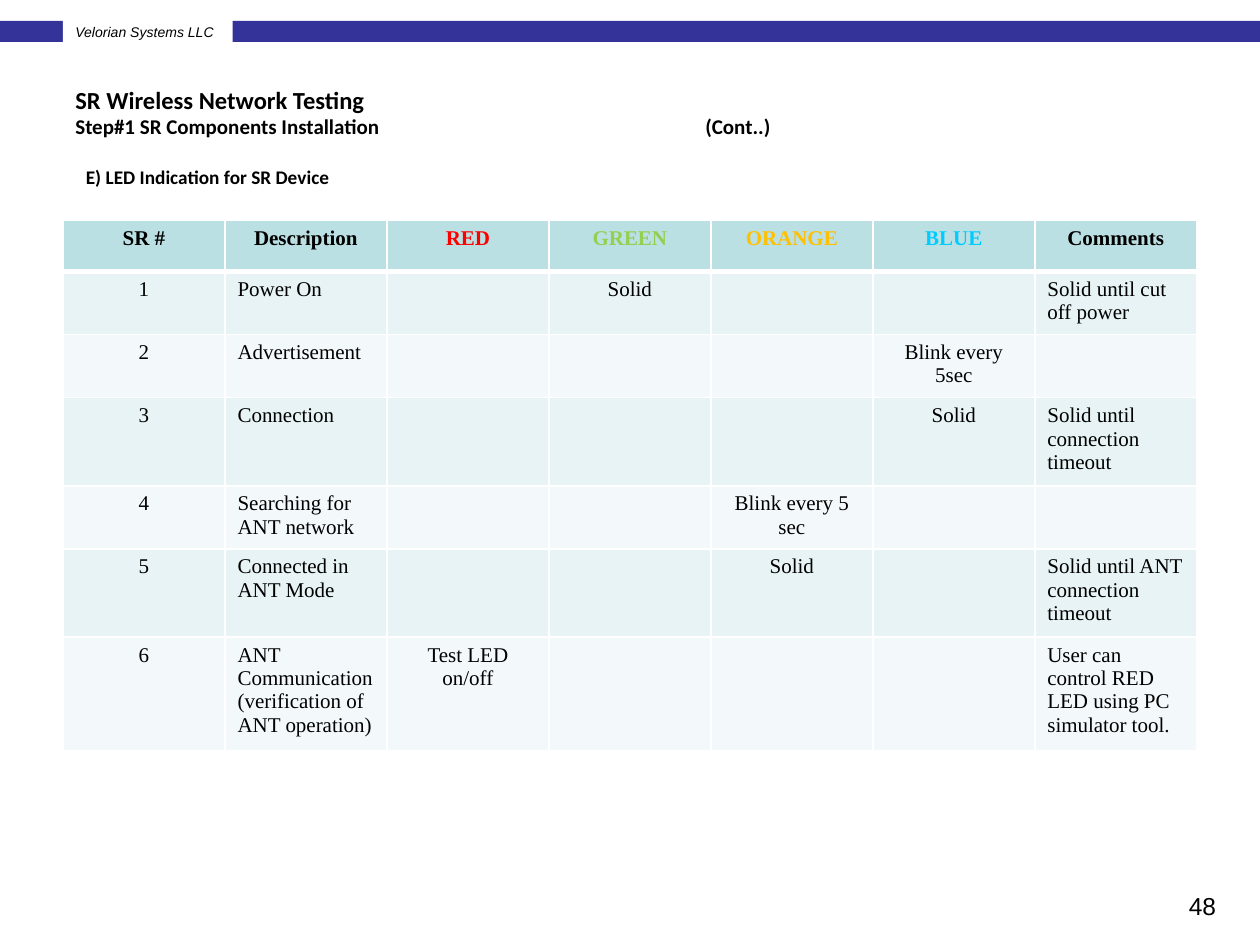
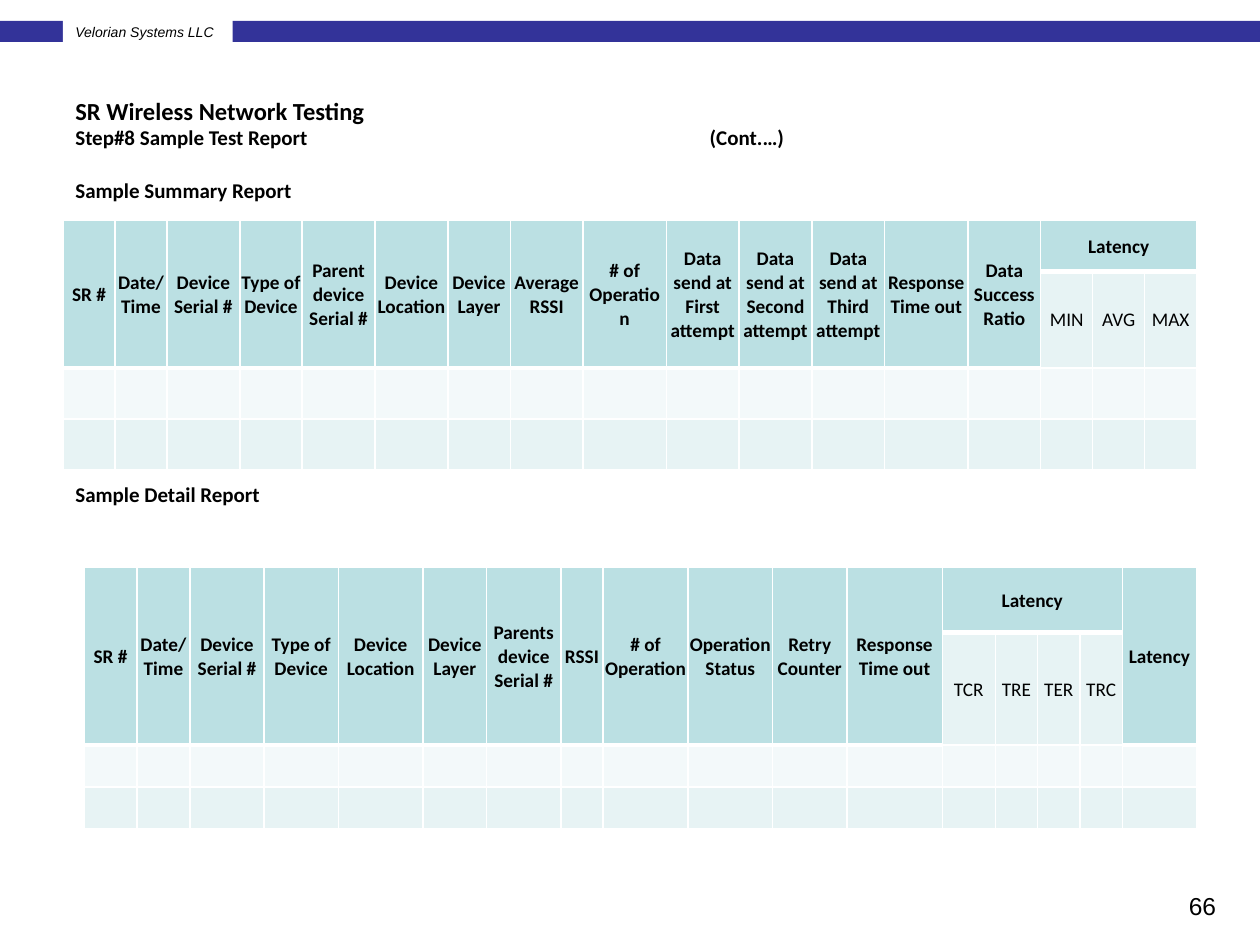
from dataclasses import dataclass

import pptx
import pptx.dml.color
import pptx.enum.shapes
import pptx.enum.text
import pptx.oxml.ns
import pptx.util
from lxml import etree

Pt = pptx.util.Pt
Align = pptx.enum.text.PP_ALIGN
Anchor = pptx.enum.text.MSO_ANCHOR
qn = pptx.oxml.ns.qn

# Content: slide headings and labels
OWNER = "Velorian Systems LLC"
TITLE = "SR Wireless Network Testing"
LED_HEAD = {"step": "Step#1 SR Components Installation", "cont": "(Cont..)", "page": "48"}
TEST_HEAD = {"step": "Step#8 Sample Test Report", "cont": "(Cont.…)", "page": "66"}

# Content: LED table
LED_COLS = [("SR #", None), ("Description", None), ("RED", "FF0000"), ("GREEN", "92D050"),
            ("ORANGE", "FFC000"), ("BLUE", "00CCFF"), ("Comments", None)]
LED_ROWS = [
    ("1", "Power On", "", "Solid", "", "", "Solid until cut off power"),
    ("2", "Advertisement", "", "", "", "Blink every 5sec", ""),
    ("3", "Connection", "", "", "", "Solid", "Solid until connection timeout"),
    ("4", "Searching for ANT network", "", "", "Blink every 5 sec", "", ""),
    ("5", "Connected in ANT Mode", "", "", "Solid", "", "Solid until ANT connection timeout"),
    ("6", "ANT Communication(verification of ANT operation)", "Test LED on/off", "", "", "",
     "User can control RED LED using PC simulator tool."),
]
LED_HIGHS = [29.2, 34, 34, 47, 34, 47, 60.5]
LEFT_COLS = ("Description", "Comments")

# Content: report columns as (label, width share) or (label, list of sub-columns)
BRIEF = [
    ("SR #", 5), ("Date/Time", 5), ("Device Serial #", 7), ("Type of Device", 6),
    ("Parent device Serial #", 7), ("Device Location", 7), ("Device Layer", 6),
    ("Average RSSI", 7), ("# of Operation", 8), ("Data send at First attempt", 7),
    ("Data send at Second attempt", 7), ("Data send at Third attempt", 7),
    ("Response Time out", 8), ("Data Success Ratio", 7),
    ("Latency", [("MIN", 5), ("AVG", 5), ("MAX", 5)]),
]
DETAIL = [
    ("SR #", 5), ("Date/Time", 5), ("Device Serial #", 7), ("Type of Device", 7),
    ("Device Location", 8), ("Device Layer", 6), ("Parents device Serial #", 7),
    ("RSSI", 4), ("# of Operation", 8), ("Operation Status", 8), ("Retry Counter", 7),
    ("Response Time out", 9),
    ("Latency", [("TCR", 5), ("TRE", 4), ("TER", 4), ("TRC", 4)]), ("Latency", 7),
]
# Label, label top, columns, table left, table top, row heights
REPORTS = [
    ("Sample Summary Report", 97.7, BRIEF, 36, 126, [29.2, 55, 29.2, 29.2]),
    ("Sample Detail Report", 271.4, DETAIL, 48, 324.2, [37.2, 64.4, 24, 24]),
]


@dataclass(frozen=True)
class Theme:
    band: str = "333399"
    white: str = "FFFFFF"
    ink: str = "000000"
    head: str = "BBE0E3"
    odd: str = "E7F3F4"
    even: str = "F3F9FA"
    sans: str = "Arial"
    main: str = "Calibri"
    serif: str = "Times New Roman"
    tiny: int = 8
    small: int = 11
    mid: int = 12
    big: int = 14
    left: float = 36
    right: float = 684
    thin: float = 1
    thick: float = 3
    pad: float = 0.72


T = Theme()


def paint(par, size, face, bold=False, slant=False, ink=None, align=Align.LEFT):
    par.alignment = align
    font = par.font
    font.size, font.name, font.bold, font.italic = Pt(size), face, bold, slant
    font.color.rgb = pptx.dml.color.RGBColor.from_string(ink or T.ink)


def fill(item, color):
    item.fill.solid()
    item.fill.fore_color.rgb = pptx.dml.color.RGBColor.from_string(color)


def place(x, y, w, h):
    return [Pt(v) for v in (x, y, w, h)]


def label(slide, box, text, size, face, anchor=Anchor.TOP, **look):
    frame = slide.shapes.add_textbox(*place(*box)).text_frame
    frame.word_wrap = True
    frame.vertical_anchor = anchor
    frame.text = text
    paint(frame.paragraphs[0], size, face, **look)
    return frame


def block(slide, box, color):
    shape = slide.shapes.add_shape(pptx.enum.shapes.MSO_SHAPE.RECTANGLE, *place(*box))
    shape.shadow.inherit = False
    shape.line.fill.background()
    fill(shape, color)
    return shape


def base(deck, head, top, stop):
    """Add a slide with the band, owner tag, heading and page number."""
    slide = deck.slides.add_slide(deck.slide_layouts[6])
    block(slide, (0, 12, 720, 12), T.band)
    tag = block(slide, (T.left, 10, 97, 17), T.white).text_frame
    tag.word_wrap = False
    tag.text = OWNER
    paint(tag.paragraphs[0], T.tiny, T.sans, slant=True)

    # Heading: title, then step with the continued mark on a tab stop
    frame = label(slide, (T.left, top, 648, 39), TITLE, T.big, T.main, bold=True)
    par = frame.add_paragraph()
    par.add_run().text = head["step"] + "\t" + head["cont"]
    tabs = etree.SubElement(par._p.get_or_add_pPr(), qn("a:tabLst"))
    etree.SubElement(tabs, qn("a:tab"), pos=str(Pt(stop)), algn="l")
    paint(par, T.mid, T.main, bold=True)

    label(slide, (534, 505, 168, 25), head["page"], T.big, T.sans,
          anchor=Anchor.MIDDLE, align=Align.RIGHT)
    return slide


def edge(cell, side, width):
    line = etree.SubElement(cell._tc.get_or_add_tcPr(), qn("a:ln" + side), w=str(Pt(width)))
    solid = etree.SubElement(line, qn("a:solidFill"))
    etree.SubElement(solid, qn("a:srgbClr"), val=T.white)


def grid(slide, x, y, wides, highs):
    """Add a bare table with the given column widths and row heights."""
    box = place(x, y, sum(wides), sum(highs))
    table = slide.shapes.add_table(len(highs), len(wides), *box).table
    table.first_row = table.horz_banding = False
    for col, wide in zip(table.columns, wides):
        col.width = Pt(wide)
    for row, high in zip(table.rows, highs):
        row.height = Pt(high)
    return table


def dress(cell, row, head):
    """Give a cell its borders and fill."""
    for side in "LRTB" if row == 0 else "LRB":
        edge(cell, side, T.thick if head and side == "B" else T.thin)
    fill(cell, T.head if head else T.odd if row % 2 else T.even)


def led(slide):
    wide = (T.right - T.left) / len(LED_COLS)
    table = grid(slide, T.left, 126, [wide] * len(LED_COLS), LED_HIGHS)
    for r, row in enumerate([[name for name, _ in LED_COLS]] + LED_ROWS):
        for c, text in enumerate(row):
            cell, (name, ink) = table.cell(r, c), LED_COLS[c]
            head = r == 0
            dress(cell, r, head)
            cell.text = text
            side = Align.LEFT if name in LEFT_COLS and not head else Align.CENTER
            paint(cell.text_frame.paragraphs[0], T.mid, T.serif, bold=head,
                  ink=ink if head else None, align=side)


def report(slide, cols, x, y, highs):
    # Lay the header out as {(row, column): text} plus the cells to merge
    words, spans, parts, subs = {}, [], [], set()
    for name, part in cols:
        c = len(parts)
        words[0, c] = name
        if isinstance(part, list):
            spans.append((0, c, 0, c + len(part) - 1))
            for i, (sub, share) in enumerate(part, c):
                words[1, i] = sub
                subs.add(i)
                parts.append(share)
        else:
            spans.append((0, c, 1, c))
            parts.append(part)

    unit = (T.right - x) / sum(parts)
    table = grid(slide, x, y, [share * unit for share in parts], highs)
    for r in range(len(highs)):
        for c in range(len(parts)):
            cell = table.cell(r, c)
            head = r == 0 or (r == 1 and c not in subs)
            dress(cell, r, head)
            cell.margin_left = cell.margin_right = cell.margin_top = Pt(T.pad)
            cell.margin_bottom = 0
            cell.vertical_anchor = Anchor.MIDDLE
            cell.text = words.get((r, c), "")
            paint(cell.text_frame.paragraphs[0], T.small, T.main, bold=head,
                  align=Align.CENTER)
    for r, c, low, last in spans:
        table.cell(r, c).merge(table.cell(low, last))


def main():
    deck = pptx.Presentation()
    deck.slide_width, deck.slide_height = Pt(720), Pt(540)

    # LED indication
    slide = base(deck, LED_HEAD, 44.8, 360)
    label(slide, (42, 90.8, 648, 21), "E) LED Indication for SR Device",
          T.small, T.main, bold=True)
    led(slide)

    # Sample reports
    slide = base(deck, TEST_HEAD, 51.1, 362.5)
    for name, top, cols, x, y, highs in REPORTS:
        label(slide, (T.left, top, 648, 22), name, T.mid, T.main, bold=True)
        report(slide, cols, x, y, highs)

    deck.save("out.pptx")


if __name__ == "__main__":
    main()
